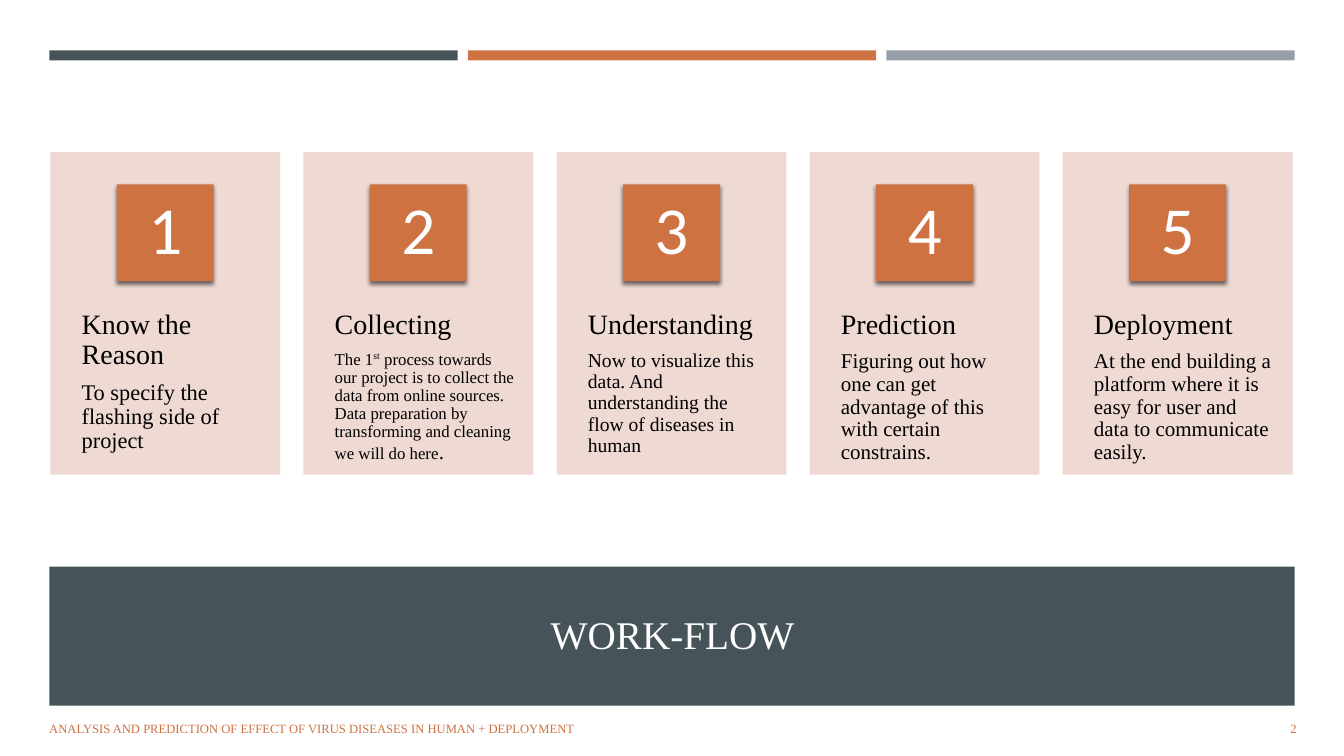
from lxml import etree
from pptx import Presentation
from pptx.dml.color import RGBColor
from pptx.enum.shapes import MSO_SHAPE as SHAPE
from pptx.enum.text import MSO_ANCHOR as ANCHOR, PP_ALIGN as ALIGN
from pptx.oxml import parse_xml
from pptx.oxml.ns import nsdecls, qn
from pptx.util import Inches, Pt

COLORS = {"slate": "465359", "orange": "CE7242", "gray": "969FA7",
          "card": "EDD5CF", "black": "000000", "white": "FFFFFF",
          "title": "FFFEFF"}
SERIF = "Times New Roman"
TITLE = "WORK-FLOW"
FOOTER = "ANALYSIS AND PREDICTION OF EFFECT OF VIRUS DISEASES IN HUMAN + DEPLOYMENT"
PAGE = "2"
STRIPES = ["slate", "orange", "gray"]
STEPS = [
    ("Know the Reason", [("To specify the flashing side of project", 16)]),
    ("Collecting", [
        ("The 1", 12), ("st", 12),
        (" process towards our project is to collect the data from online "
         "sources. Data preparation by transforming and cleaning we will do here", 12),
        (".", 15)]),
    ("Understanding", [("Now to visualize this data. And understanding the "
                        "flow of diseases in human", 14)]),
    ("Prediction", [("Figuring out how one can get advantage of this with "
                     "certain constrains.", 15)]),
    ("Deployment", [("At the end building a platform where it is easy for "
                     "user and data to communicate easily.", 15)]),
]
SUPERSCRIPTS = {"st"}

LEFT, CARD_TOP, CARD_W, CARD_H, CARD_STEP = 0.5, 1.51, 2.28, 3.2, 2.51
BADGE, BADGE_TOP = 0.96, 1.83
STRIPE_W, STRIPE_STEP = 4.05, 4.15


def add_rect(slide, x, y, w, h, color):
    sp = slide.shapes.add_shape(SHAPE.RECTANGLE, Inches(x), Inches(y), Inches(w), Inches(h))
    sp.shadow.inherit = False
    sp.fill.solid()
    sp.fill.fore_color.rgb = RGBColor.from_string(COLORS[color])
    sp.line.fill.background()
    return sp


def set_alpha(sp, percent):
    clr = sp.fill._xPr.find(qn("a:solidFill"))[0]
    etree.SubElement(clr, qn("a:alpha")).set("val", str(percent * 1000))


def add_shadow(sp):
    effects = sp._element.spPr.find(qn("a:effectLst"))
    effects.append(parse_xml(
        f'<a:outerShdw {nsdecls("a")} blurRad="{Pt(3)}" dist="{Pt(2)}" dir="5400000" '
        f'rotWithShape="0"><a:srgbClr val="{COLORS["black"]}"><a:alpha val="55000"/>'
        '</a:srgbClr></a:outerShdw>'))


def set_frame(tf, margins, anchor):
    tf.word_wrap = True
    tf.vertical_anchor = anchor
    tf.margin_left, tf.margin_top, tf.margin_right, tf.margin_bottom = map(Inches, margins)


def add_run(p, text, size, color, font=SERIF):
    r = p.add_run()
    r.text = text
    r.font.size = Pt(size)
    r.font.name = font
    r.font.color.rgb = RGBColor.from_string(COLORS[color])
    return r


def add_box(slide, x, y, w, h, margins=(0.1, 0.05, 0.1, 0.05), anchor=ANCHOR.MIDDLE):
    sp = slide.shapes.add_textbox(Inches(x), Inches(y), Inches(w), Inches(h))
    set_frame(sp.text_frame, margins, anchor)
    return sp.text_frame


def add_step(slide, i, heading, parts):
    x = LEFT + i * CARD_STEP
    set_alpha(add_rect(slide, x, CARD_TOP, CARD_W, CARD_H, "card"), 90)

    tf = add_box(slide, x, 2.72, CARD_W, 1.92, (0.31, 0.36, 0.18, 0.36), ANCHOR.TOP)
    p = tf.paragraphs[0]
    p.line_spacing = 0.9
    p.space_after = Pt(7)
    add_run(p, heading, 20, "black")
    p = tf.add_paragraph()
    p.line_spacing = 0.9
    for text, size in parts:
        r = add_run(p, text, size, "black")
        if text in SUPERSCRIPTS:
            r.font._element.set("baseline", "30000")

    badge = add_rect(slide, x + (CARD_W - BADGE) / 2, BADGE_TOP, BADGE, BADGE, "orange")
    add_shadow(badge)
    set_frame(badge.text_frame, (0.07, 0.01, 0.07, 0.01), ANCHOR.MIDDLE)
    p = badge.text_frame.paragraphs[0]
    p.alignment = ALIGN.CENTER
    p.line_spacing = 0.9
    add_run(p, str(i + 1), 48, "white", "Calibri")


def main():
    prs = Presentation()
    prs.slide_width, prs.slide_height = Inches(13.33), Inches(7.5)
    slide = prs.slides.add_slide(prs.slide_layouts[5])

    band = add_rect(slide, 0.49, 5.62, 12.35, 1.38, "slate")
    title = slide.shapes.title
    band._element.addnext(title._element)
    title.left, title.top = Inches(0.64), Inches(5.76)
    title.width, title.height = Inches(12.06), Inches(1.05)
    set_frame(title.text_frame, (0.1, 0.05, 0.1, 0.05), ANCHOR.MIDDLE)
    p = title.text_frame.paragraphs[0]
    p.alignment = ALIGN.CENTER
    add_run(p, TITLE, 28, "title")

    for i, color in enumerate(STRIPES):
        add_rect(slide, 0.49 + i * STRIPE_STEP, 0.5, STRIPE_W, 0.1, color)

    for text, x, w, align in [(FOOTER, 0.39, 7.56, ALIGN.LEFT), (PAGE, 11.81, 1.15, ALIGN.RIGHT)]:
        p = add_box(slide, x, 7.03, w, 0.4).paragraphs[0]
        p.alignment = align
        add_run(p, text, 9, "orange")

    for i, (heading, parts) in enumerate(STEPS):
        add_step(slide, i, heading, parts)

    prs.save("out.pptx")


if __name__ == "__main__":
    main()
